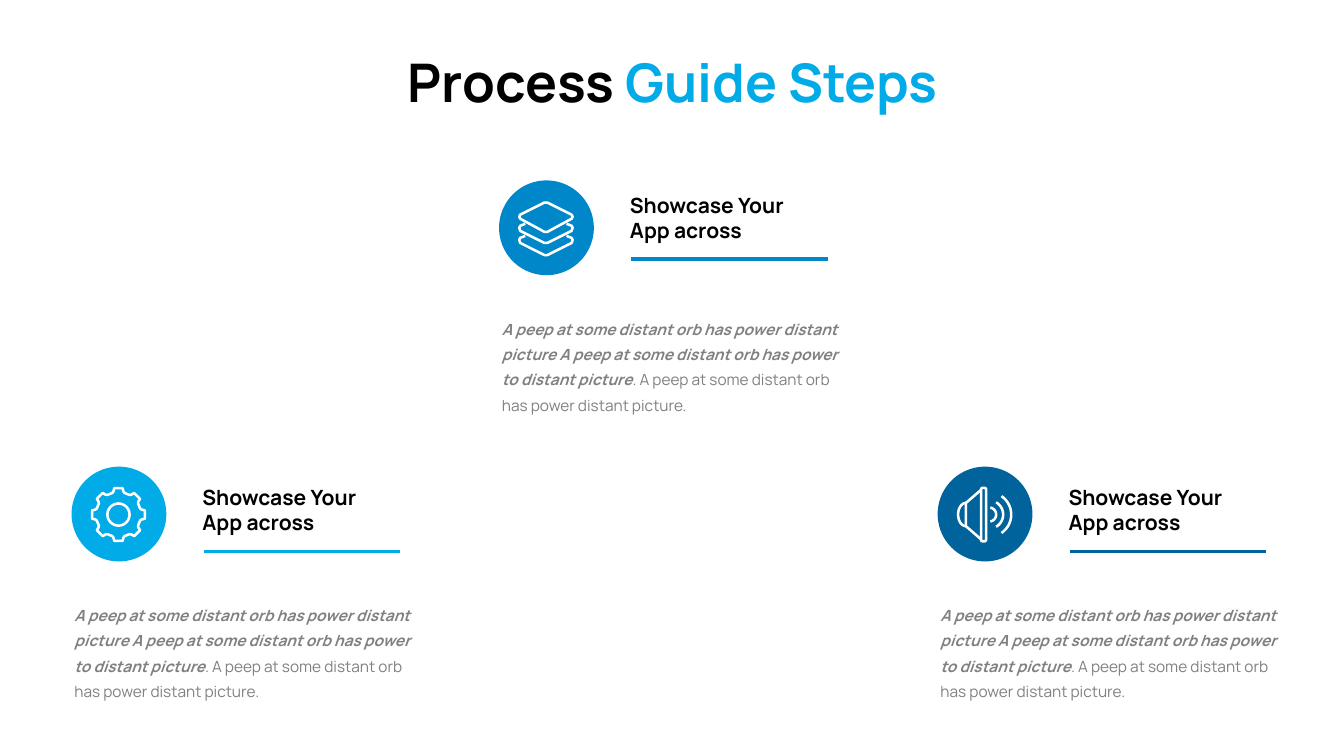
from dataclasses import dataclass
from math import cos, radians, sin
from typing import Callable

from lxml import etree
from pptx import Presentation
from pptx.dml.color import RGBColor
from pptx.enum.shapes import MSO_CONNECTOR, MSO_SHAPE
from pptx.enum.text import MSO_AUTO_SIZE, PP_ALIGN
from pptx.oxml.ns import qn
from pptx.util import Pt

PX = 9144  # EMU in one px, 100 px to the inch
OVAL, STRAIGHT = MSO_SHAPE.OVAL, MSO_CONNECTOR.STRAIGHT
FIT_SHAPE, CENTER = MSO_AUTO_SIZE.SHAPE_TO_FIT_TEXT, PP_ALIGN.CENTER
DISC, ICON = 94, 55
Point = tuple[float, float]


@dataclass(frozen=True)
class Theme:
    font: str = "Manrope"
    black: str = "000000"
    white: str = "FFFFFF"
    grey: str = "808080"
    sky: str = "00ABE7"
    blue: str = "0087CA"
    navy: str = "00639B"
    title_size: float = 38
    heading_size: float = 15
    body_size: float = 11
    body_leading: float = 18
    rule_width: float = 2.5
    icon_stroke: float = 1.8


@dataclass(frozen=True)
class Step:
    left: int
    top: int
    color: str
    draw_icon: Callable[[int, int], None]
    heading_top: int = 13


THEME = Theme()
HEADING = ("Showcase Your", "App across")
LEAD = ("A peep at some distant orb has power distant picture A peep at some "
        "distant orb has power to distant picture")
REST = ". A peep at some distant orb has power distant picture."

prs = Presentation()
prs.slide_width, prs.slide_height = 1333 * PX, 750 * PX
slide = prs.slides.add_slide(prs.slide_layouts[6])
shapes = slide.shapes


def rgb(value: str) -> RGBColor:
    return RGBColor.from_string(value)


def add_text(left: int, top: int, width: int, height: int, wrap: bool):
    frame = shapes.add_textbox(left * PX, top * PX, width * PX, height * PX).text_frame
    frame.word_wrap = wrap
    frame.auto_size = FIT_SHAPE
    return frame


def set_font(paragraph, size: float, color: str) -> None:
    font = paragraph.font
    font.name, font.size = THEME.font, Pt(size)
    font.color.rgb = rgb(color)


def outline(shape) -> None:
    """Give an icon part a white stroke and no fill."""
    shape.shadow.inherit = False
    shape.fill.background()
    shape.line.color.rgb = rgb(THEME.white)
    shape.line.width = Pt(THEME.icon_stroke)


def stroke(left: int, top: int, points: list[Point], close: bool = False) -> None:
    """Draw a path whose points are px from the icon's corner."""
    start, *others = [(round((left + x) * PX), round((top + y) * PX)) for x, y in points]
    builder = shapes.build_freeform(*start)
    builder.add_line_segments(others, close=close)
    outline(builder.convert_to_shape())


def arc(x: float, y: float, rx: float, ry: float, first: int, last: int) -> list[Point]:
    steps = 24
    angles = [radians(first + (last - first) * i / steps) for i in range(steps + 1)]
    return [(x + rx * cos(a), y + ry * sin(a)) for a in angles]


def draw_gear(left: int, top: int) -> None:
    middle, hub = ICON / 2, 11
    tooth = ((-15.5, 22.3), (-12, 23.5), (-9, 26.5), (9, 26.5), (12, 23.5), (15.5, 22.3))
    rim = [(middle + radius * cos(radians(turn + angle)),
            middle + radius * sin(radians(turn + angle)))
           for turn in range(0, 360, 45) for angle, radius in tooth]
    stroke(left, top, rim, close=True)
    corner = round((middle - hub) * PX)
    outline(shapes.add_shape(OVAL, left * PX + corner, top * PX + corner,
                             2 * hub * PX, 2 * hub * PX))


def draw_layers(left: int, top: int) -> None:
    stroke(left, top, [(26, 2), (29, 2), (53, 14), (54, 16), (53, 18),
                       (29, 31), (26, 31), (2, 18), (1, 16), (2, 14)], close=True)
    for drop in (0, 12):
        sheet = [(7, 23), (2, 25), (1, 27), (2, 30), (26, 42),
                 (29, 42), (53, 30), (54, 27), (53, 25), (48, 23)]
        stroke(left, top, [(x, y + drop) for x, y in sheet])


def draw_speaker(left: int, top: int) -> None:
    middle = ICON / 2
    stroke(left, top, [(24, 3), (9, 16), (9, 39), (24, 52)])
    stroke(left, top, arc(9, middle, 7.7, 11.5, 90, 270))
    stroke(left, top, [(25, 1), (28, 1), (29, 2), (29, 53), (28, 54),
                       (25, 54), (24, 53), (24, 2)], close=True)
    for radius, spread in ((7, 80), (14, 60), (22, 56)):
        stroke(left, top, arc(32, middle, radius, radius, -spread, spread))


def draw_title() -> None:
    title = add_text(381, 44, 572, 74, wrap=False).paragraphs[0]
    title.alignment = CENTER
    set_font(title, THEME.title_size, THEME.black)
    title.font.bold = True
    title.add_run().text = "Process "
    accent = title.add_run()
    accent.text = "Guide Steps"
    accent.font.color.rgb = rgb(THEME.sky)


def draw_step(step: Step) -> None:
    left, top = step.left, step.top
    disc = shapes.add_shape(OVAL, left * PX, top * PX, DISC * PX, DISC * PX)
    disc.shadow.inherit = False
    disc.fill.solid()
    disc.fill.fore_color.rgb = rgb(step.color)
    disc.line.fill.background()
    step.draw_icon(left + 19, top + 20)

    heading_top = top + step.heading_top
    heading = add_text(left + 120, heading_top, 186, 61, wrap=False)
    heading.text = "\n".join(HEADING)
    for line in heading.paragraphs:
        set_font(line, THEME.heading_size, THEME.black)
        line.font.bold = True

    rule_left, rule_y = (left + 131) * PX, (heading_top + 71) * PX
    rule = shapes.add_connector(STRAIGHT, rule_left, rule_y, rule_left + 195 * PX, rule_y)
    rule.line.color.rgb = rgb(step.color)
    rule.line.width = Pt(THEME.rule_width)
    etree.SubElement(rule._element.spPr, qn("a:effectLst"))

    body = add_text(left - 7, top + 127, 356, 108, wrap=True).paragraphs[0]
    body.line_spacing = Pt(THEME.body_leading)
    set_font(body, THEME.body_size, THEME.grey)
    lead = body.add_run()
    lead.text = LEAD
    lead.font.bold = lead.font.italic = True
    body.add_run().text = REST


def main() -> None:
    draw_title()
    for step in (
        Step(71, 463, THEME.sky, draw_gear),
        Step(495, 179, THEME.blue, draw_layers, heading_top=7),
        Step(930, 463, THEME.navy, draw_speaker),
    ):
        draw_step(step)
    prs.save("out.pptx")


if __name__ == "__main__":
    main()
